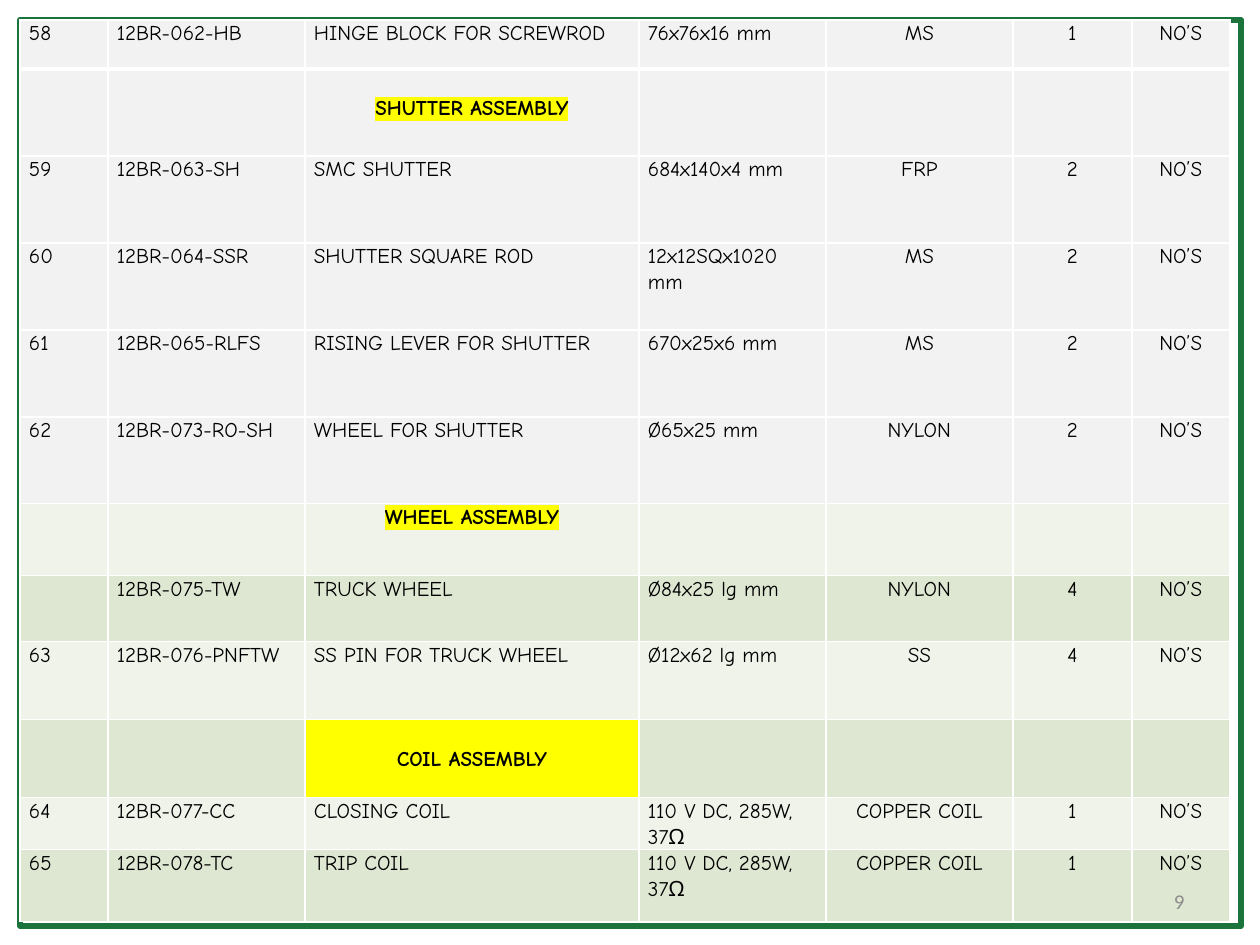
import pptx
import pptx.util
import pptx.dml.color
import pptx.enum.shapes
import pptx.enum.text
import pptx.oxml.ns
from lxml import etree

ALIGN = pptx.enum.text.PP_ALIGN
GREY, PALE, SAGE, YELLOW = "F2F2F2", "EFF3EA", "DEE7D1", "FFFF00"
COLS = [88, 197, 334, 187, 187, 119, 98]
ALIGNS = [ALIGN.LEFT] * 4 + [ALIGN.CENTER] * 3
LINE = 26  # height of one text line in px

# height, fill, cells of a part
PARTS = {
    0: (49, GREY, ["58", "12BR-062-HB", "HINGE BLOCK FOR SCREWROD", "76x76x16 mm", "MS", "1"]),
    2: (87, GREY, ["59", "12BR-063-SH", "SMC SHUTTER", "684x140x4 mm", "FRP", "2"]),
    3: (87, GREY, ["60", "12BR-064-SSR", "SHUTTER SQUARE ROD", "12x12SQx1020 mm", "MS", "2"]),
    4: (87, GREY, ["61", "12BR-065-RLFS", "RISING LEVER FOR SHUTTER", "670x25x6 mm", "MS", "2"]),
    5: (87, GREY, ["62", "12BR-073-RO-SH", "WHEEL FOR SHUTTER", "Ø65x25 mm", "NYLON", "2"]),
    7: (66, SAGE, ["", "12BR-075-TW", "TRUCK WHEEL", "Ø84x25 lg mm", "NYLON", "4"]),
    8: (78, PALE, ["63", "12BR-076-PNFTW", "SS PIN FOR TRUCK WHEEL", "Ø12x62 lg mm", "SS", "4"]),
    10: (52, PALE, ["64", "12BR-077-CC", "CLOSING COIL", "110 V DC, 285W, 37Ω", "COPPER COIL", "1"]),
    11: (72, SAGE, ["65", "12BR-078-TC", "TRIP COIL", "110 V DC, 285W, 37Ω", "COPPER COIL", "1"]),
}
# height, fill, heading, its cell fill, its highlight, top margin
HEADS = {
    1: (87, GREY, "SHUTTER ASSEMBLY", GREY, YELLOW, LINE),
    6: (72, PALE, "WHEEL ASSEMBLY", PALE, YELLOW, 0),
    9: (78, SAGE, "COIL ASSEMBLY", YELLOW, None, LINE),
}


def px(num):
    return pptx.util.Emu(round(num * 914400 / 126))


def rgb(code):
    return pptx.dml.color.RGBColor.from_string(code)


def style(obj, form):
    for key, val in form.items():
        setattr(obj, key, val)


def sub(node, tag, **attrs):
    return etree.SubElement(node, pptx.oxml.ns.qn(tag), attrs)


def write(para, text, align, color="000000", **form):
    para.alignment = align
    run = para.add_run()
    run.text = text
    style(run.font, {"size": pptx.util.Pt(12), "name": "Comic Neue", **form})
    run.font.color.rgb = rgb(color)
    return run


def mark(run, color):
    """Highlight a run."""
    light = etree.Element(pptx.oxml.ns.qn("a:highlight"))
    sub(light, "a:srgbClr", val=color)
    run.font.fill._xPr.find(pptx.oxml.ns.qn("a:solidFill")).addnext(light)


def paint(cell, fill, row):
    """Set borders, fill and margins; a thick line parts the first two rows."""
    props = cell._tc.get_or_add_tcPr()
    for side in "LRTB":
        thick = (row, side) in ((0, "B"), (1, "T"))
        line = sub(props, f"a:ln{side}", w=str(pptx.util.Pt(3 if thick else 1)))
        sub(sub(line, "a:solidFill"), "a:srgbClr", val="FFFFFF")
    cell.fill.solid()
    cell.fill.fore_color.rgb = rgb(fill)
    style(cell, {"margin_left": px(9), "margin_right": px(9),
                 "margin_top": 0, "margin_bottom": 0})


def add_part(grid, row, fill, texts):
    for col, text in enumerate(texts + ["NO’S" if texts[1] else ""]):
        cell = grid.cell(row, col)
        paint(cell, fill, row)
        if not text:
            continue
        para = cell.text_frame.paragraphs[0]
        para.line_spacing = 1.07
        if col == 0:
            props = para._p.get_or_add_pPr()
            props.set("marL", str(px(48)))
            props.set("indent", str(-px(48)))
        write(para, text, ALIGNS[col])


def add_head(grid, row, fill, text, back, light, top):
    add_part(grid, row, fill, [""] * 6)
    cell = grid.cell(row, 2)
    cell.fill.fore_color.rgb = rgb(back)
    cell.margin_top = px(top)
    para = cell.text_frame.paragraphs[0]
    para.line_spacing = 1.07
    run = write(para, text, ALIGN.CENTER, bold=True)
    if light:
        mark(run, light)


def add_frame(slide):
    kind = pptx.enum.shapes.MSO_SHAPE.RECTANGLE
    frame = slide.shapes.add_shape(kind, px(20), px(20), px(1221), px(906))
    frame.shadow.inherit = False
    frame.fill.background()
    frame.line.color.rgb = rgb("1A743C")
    frame.line.width = pptx.util.Pt(3.5)


def add_list(slide):
    rows = {**PARTS, **HEADS}
    tall = sum(row[0] for row in rows.values())
    shape = slide.shapes.add_table(len(rows), len(COLS), px(20), px(20),
                                   px(sum(COLS)), px(tall))
    grid = shape.table
    style(grid, {"first_row": False, "horz_banding": False})
    for col, width in zip(grid.columns, COLS):
        col.width = px(width)
    for row, (height, *_) in rows.items():
        grid.rows[row].height = px(height)
    for row, (_, fill, texts) in PARTS.items():
        add_part(grid, row, fill, texts)
    for row, (_, *head) in HEADS.items():
        add_head(grid, row, *head)


def add_page(slide, num):
    box = slide.shapes.add_textbox(px(903), px(876), px(294), px(50))
    style(box.text_frame, {"word_wrap": True,
                           "vertical_anchor": pptx.enum.text.MSO_ANCHOR.MIDDLE})
    write(box.text_frame.paragraphs[0], num, ALIGN.RIGHT, "8C8C8C", name="Calibri")


def main():
    deck = pptx.Presentation()
    style(deck, {"slide_width": px(1260), "slide_height": px(945)})
    slide = deck.slides.add_slide(deck.slide_layouts[6])
    add_frame(slide)
    add_list(slide)
    add_page(slide, "9")
    deck.save("out.pptx")


if __name__ == "__main__":
    main()
